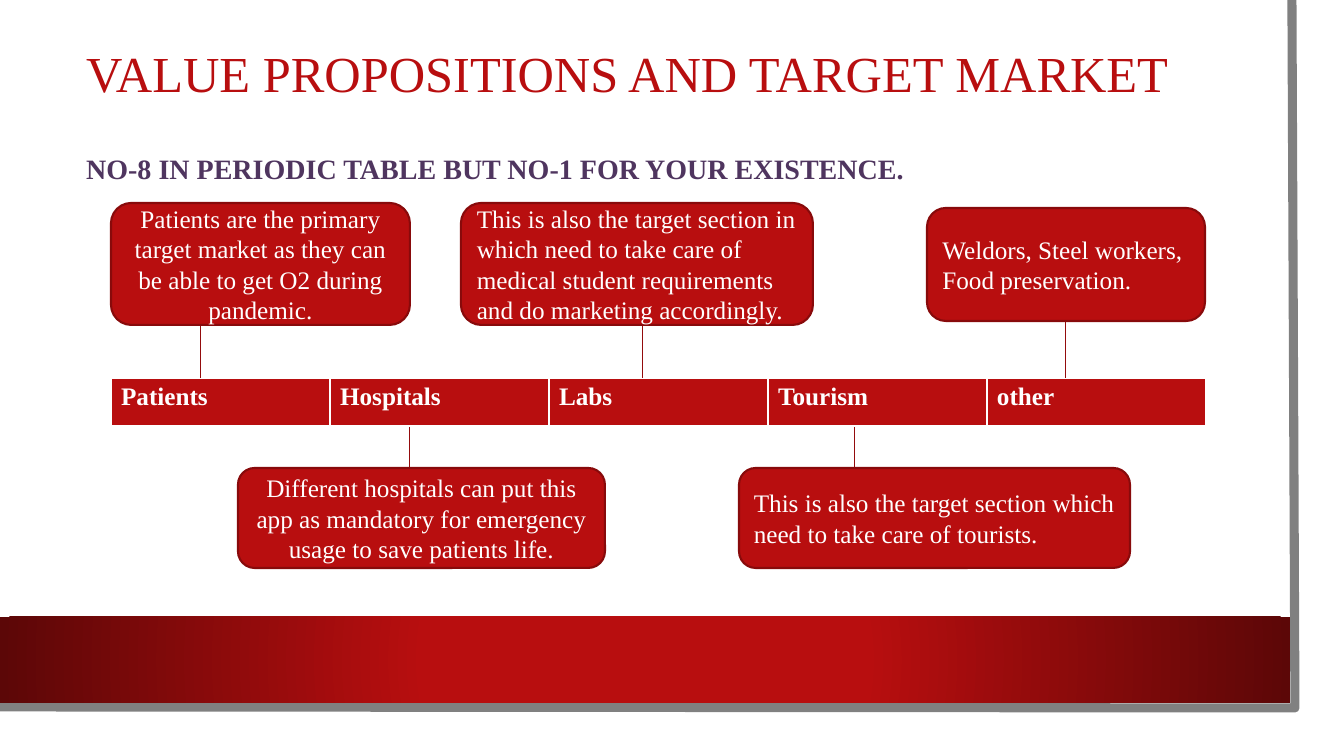
"""Builds the value proposition and target market slide."""
from lxml import etree
from pptx import Presentation
from pptx.dml.color import RGBColor
from pptx.enum.shapes import MSO_CONNECTOR, MSO_SHAPE
from pptx.enum.text import MSO_ANCHOR, PP_ALIGN
from pptx.oxml import parse_xml
from pptx.oxml.ns import nsdecls, qn
from pptx.util import Pt

STRAIGHT = MSO_CONNECTOR.STRAIGHT
RECTANGLE, ROUNDED = MSO_SHAPE.RECTANGLE, MSO_SHAPE.ROUNDED_RECTANGLE
MIDDLE = MSO_ANCHOR.MIDDLE
LEFT, CENTER = PP_ALIGN.LEFT, PP_ALIGN.CENTER

PX = 914400 / 100.8
FONT = "Times New Roman"
RED = RGBColor(0xB8, 0x0E, 0x0F)
DARK_RED = RGBColor(0x5C, 0x07, 0x07)
OUTLINE_RED = RGBColor(0x88, 0x0A, 0x0B)
STEM_RED = RGBColor(0x93, 0x0B, 0x0C)
PURPLE = RGBColor(0x4F, 0x35, 0x5F)
GRAY = RGBColor(0x80, 0x80, 0x80)
WHITE = RGBColor(0xFF, 0xFF, 0xFF)

SLIDE_SIZE = (1344, 756)
HEADING = "VALUE PROPOSITIONS AND TARGET MARKET"
TAGLINE = "NO-8 IN PERIODIC TABLE BUT NO-1 FOR YOUR EXISTENCE."
HEADING_BOX = (76, 33, 1146, 169)
FRAME = [(1292, 0), (1295, 708), (-3, 707)]
BAND_BOX = (0, 617, 1290, 86)
BAND_STOPS = [(34, RED), (100, DARK_RED)]
SEGMENTS = ["Patients", "Hospitals", "Labs", "Tourism", "other"]
SEGMENT_BOX = (111, 378, 1095, 49)
BORDERS = [("lnL", 1), ("lnR", 1), ("lnT", 1), ("lnB", 3)]
CALLOUTS = [
    ("Patients are the primary target market as they can be able to get O2 "
     "during pandemic.", (111, 203, 299, 122), 201, CENTER),
    ("Different hospitals can put this app as mandatory for emergency usage "
     "to save patients life.", (238, 468, 367, 100), 410, CENTER),
    ("This is also the target section in which need to take care of medical "
     "student requirements and do marketing accordingly.",
     (461, 203, 352, 122), 643, LEFT),
    ("This is also the target section which need to take care of tourists.",
     (739, 468, 391, 100), 855, LEFT),
    ("Weldors, Steel workers, Food preservation.",
     (927, 208, 278, 113), 1066, LEFT),
]


def emu(lengths):
    return [round(length * PX) for length in lengths]


def style(paragraph, size, color, bold=False, align=LEFT):
    font = paragraph.font
    font.name, font.size, font.bold = FONT, Pt(size), bold
    font.color.rgb = color
    paragraph.alignment = align


def add_frame(slide):
    outline = slide.shapes.build_freeform(*FRAME[0], scale=PX)
    outline.add_line_segments(FRAME[1:], close=False)
    frame = outline.convert_to_shape()
    frame.shadow.inherit = False
    frame.fill.background()
    frame.line.color.rgb = GRAY
    frame.line.width = Pt(6.5)


def add_band(slide):
    band = slide.shapes.add_shape(RECTANGLE, *emu(BAND_BOX))
    band.shadow.inherit = False
    band.line.fill.background()
    stops = "".join(
        f'<a:gs pos="{place * 1000}"><a:srgbClr val="{color}"/></a:gs>'
        for place, color in BAND_STOPS)
    gradient = parse_xml(
        f'<a:gradFill {nsdecls("a")}><a:gsLst>{stops}</a:gsLst>'
        '<a:path path="circle"><a:fillToRect l="50000" t="50000" r="50000" '
        'b="50000"/></a:path></a:gradFill>')
    band.element.spPr.find(qn("a:prstGeom")).addnext(gradient)


def fill_heading(slide):
    heading = slide.shapes.title
    heading.left, heading.top, heading.width, heading.height = emu(HEADING_BOX)
    frame = heading.text_frame
    frame.vertical_anchor = MIDDLE
    frame.text = f"{HEADING}\n{TAGLINE}"
    title, tagline = frame.paragraphs
    style(title, 36, RED)
    style(tagline, 20, PURPLE, bold=True)
    title.line_spacing = tagline.line_spacing = 0.9
    tagline.space_before = Pt(37)


def add_segments(slide):
    table = slide.shapes.add_table(
        1, len(SEGMENTS), *emu(SEGMENT_BOX)).table
    for cell, segment in zip(table.iter_cells(), SEGMENTS):
        cell.text = segment
        style(cell.text_frame.paragraphs[0], 18, WHITE, bold=True)
        cell.fill.solid()
        cell.fill.fore_color.rgb = RED
        properties = cell._tc.get_or_add_tcPr()
        for order, (side, points) in enumerate(BORDERS):
            properties.insert(order, parse_xml(
                f'<a:{side} {nsdecls("a")} w="{Pt(points)}"><a:solidFill>'
                f'<a:srgbClr val="{WHITE}"/></a:solidFill></a:{side}>'))


def add_callout(slide, text, box, stem_x, align):
    _, top, _, height = box
    _, row_top, _, row_height = SEGMENT_BOX
    if top < row_top:
        start, end = row_top, top + height
    else:
        start, end = row_top + row_height, top
    stem = slide.shapes.add_connector(
        STRAIGHT, *emu((stem_x, start, stem_x, end)))
    stem.line.color.rgb = STEM_RED
    stem.line.width = Pt(0.75)
    etree.SubElement(stem.element.spPr, qn("a:effectLst"))

    callout = slide.shapes.add_shape(ROUNDED, *emu(box))
    callout.shadow.inherit = False
    callout.fill.solid()
    callout.fill.fore_color.rgb = RED
    callout.line.color.rgb = OUTLINE_RED
    callout.line.width = Pt(1.5)
    frame = callout.text_frame
    frame.word_wrap = True
    frame.vertical_anchor = MIDDLE
    frame.text = text
    style(frame.paragraphs[0], 18, WHITE, align=align)


def main():
    deck = Presentation()
    deck.slide_width, deck.slide_height = emu(SLIDE_SIZE)
    slide = deck.slides.add_slide(deck.slide_layouts[5])
    add_frame(slide)
    add_band(slide)
    fill_heading(slide)
    add_segments(slide)
    for callout in CALLOUTS:
        add_callout(slide, *callout)
    deck.save("out.pptx")


if __name__ == "__main__":
    main()
